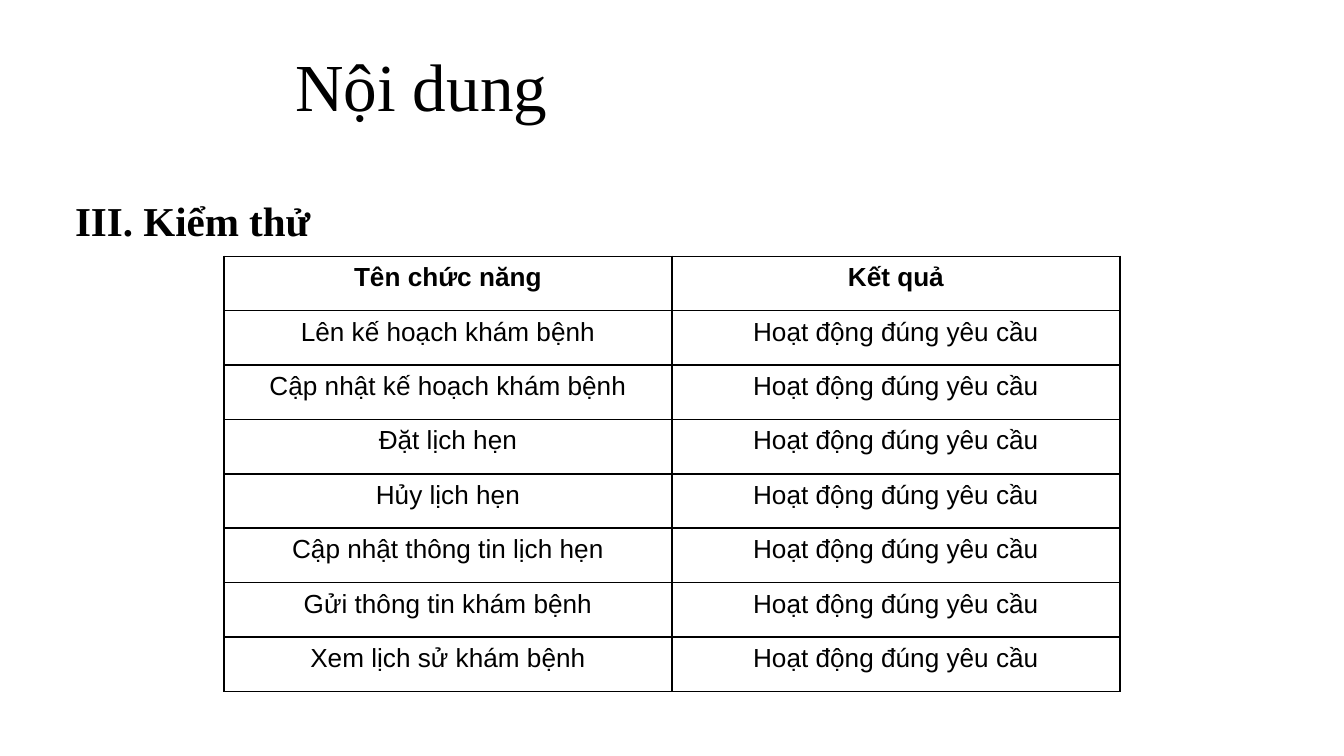
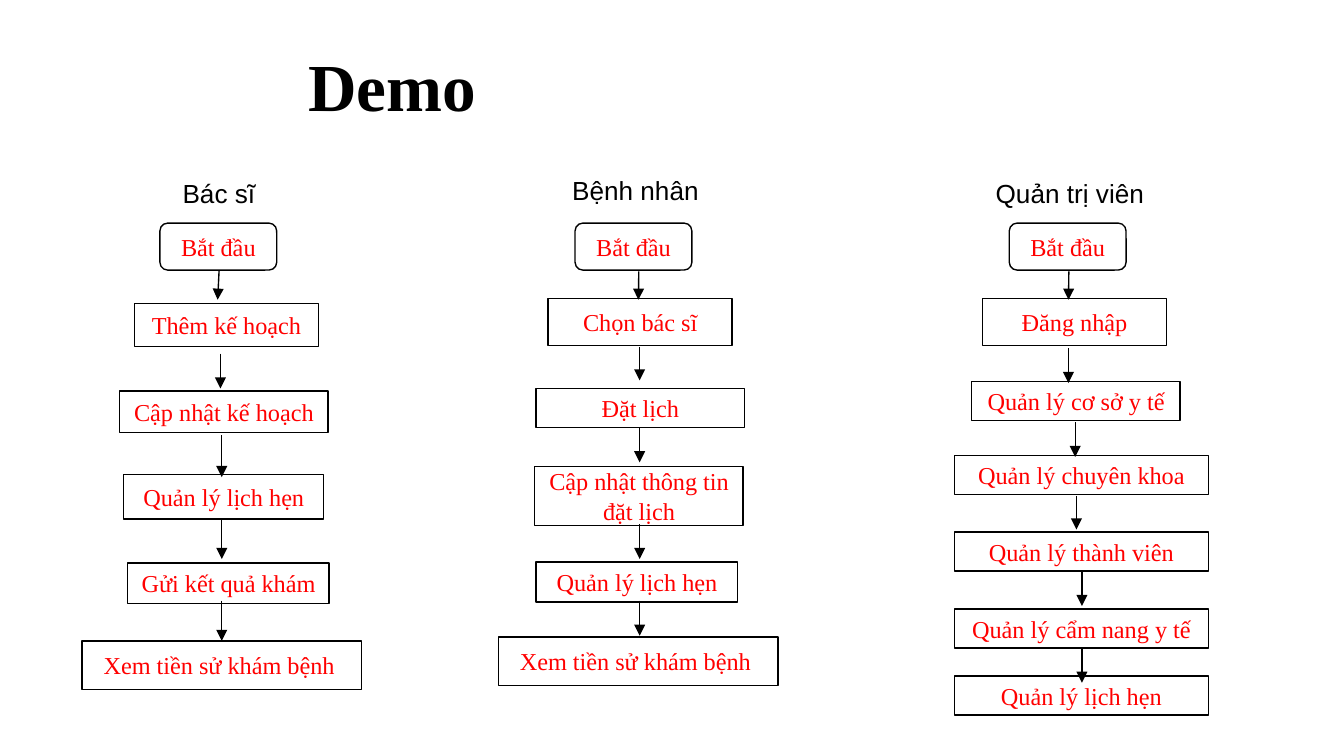
from collections import namedtuple

from lxml.etree import SubElement
from pptx import Presentation
from pptx.dml.color import RGBColor
from pptx.enum.shapes import MSO_CONNECTOR as Link, MSO_SHAPE as Preset
from pptx.enum.text import MSO_ANCHOR as Anchor, MSO_AUTO_SIZE as Fit, PP_ALIGN as Align
from pptx.oxml.ns import qn
from pptx.util import Pt

SERIF, SANS = "Times New Roman", "Arial"
BLACK, RED = "000000", "FF0000"
THIN = 0.75
START = "Bắt đầu"
START_TOP, START_WIDTH, START_HEIGHT = 29.5, 62.6, 25.2

Box = namedtuple("Box", "left top width height")
Step = namedtuple("Step", "text x y width height")
Arrow = namedtuple("Arrow", "x1 y1 x2 y2")
Flow = namedtuple("Flow", "box role role_box wraps start_x steps arrows")

FUNCTIONS = [
    "Lên kế hoạch khám bệnh",
    "Cập nhật kế hoạch khám bệnh",
    "Đặt lịch hẹn",
    "Hủy lịch hẹn",
    "Cập nhật thông tin lịch hẹn",
    "Gửi thông tin khám bệnh",
    "Xem lịch sử khám bệnh",
]
RESULTS = [("Tên chức năng", "Kết quả")] + [
    (function, "Hoạt động đúng yêu cầu") for function in FUNCTIONS
]

DOCTOR = Flow(
    Box(44, 90, 150, 280), "Bác sĩ", Box(46.7, 1.4, 54, 24.5), False, 41.7,
    [
        Step("Thêm kế hoạch", 28, 72.7, 98.6, 23),
        Step("Cập nhật kế hoạch", 20.1, 119.5, 111.6, 22.3),
        Step("Quản lý lịch hẹn", 22.2, 164.2, 107.3, 23.8),
        Step("Gửi kết quả khám", 24.4, 211.7, 108, 21.6),
        Step("Xem tiền sử khám bệnh ", 0, 253.4, 149.8, 25.9),
    ],
    [
        Arrow(73.4, 54.7, 72.6, 70.6),
        Arrow(74.1, 99.4, 74.1, 118.1),
        Arrow(74.8, 143.3, 74.8, 165.6),
        Arrow(74.8, 187.9, 74.8, 209.5),
        Arrow(74.8, 231.8, 74.8, 253.4),
    ],
)
PATIENT = Flow(
    Box(267, 90, 150, 278), "Bệnh nhân", Box(32.4, 0, 92.9, 24.5), True, 41.1,
    [
        Step("Chọn bác sĩ", 26.7, 69.8, 98.6, 25.2),
        Step("Đặt lịch", 20.2, 118.1, 111.6, 20.9),
        Step("Cập nhật thông tin đặt lịch", 19.5, 159.8, 111.6, 31.7),
        Step("Quản lý lịch hẹn", 20.2, 211, 108, 21.6),
        Step("Xem tiền sử khám bệnh ", 0, 251.3, 149.8, 25.9),
    ],
    [
        Arrow(75.2, 55.4, 75, 70.6),
        Arrow(75.7, 95.8, 75.7, 113.8),
        Arrow(75.7, 139, 75.7, 157.7),
        Arrow(75.7, 190.8, 75.7, 209.5),
        Arrow(75.7, 231.8, 75.7, 250.6),
    ],
)
ADMIN = Flow(
    Box(511.2, 90, 136, 293), "Quản trị viên", Box(15.1, 1.4, 105.8, 24.5), True, 29.5,
    [
        Step("Đăng nhập", 15.1, 69.8, 98.6, 25.2),
        Step("Quản lý cơ sở y tế", 9.4, 114.5, 111.6, 20.9),
        Step("Quản lý chuyên khoa", 0, 154.1, 136.1, 20.9),
        Step("Quản lý thành viên", 0, 195.1, 136.1, 20.9),
        Step("Quản lý cẩm nang y tế", 0, 236.2, 136.1, 20.9),
        Step("Quản lý lịch hẹn", 0, 272.2, 136.1, 20.9),
    ],
    [
        Arrow(61.4, 55.4, 61.2, 70.6),
        Arrow(61.2, 96.5, 61.2, 115.2),
        Arrow(64.8, 136.1, 64.8, 154.8),
        Arrow(65.5, 175.7, 65.5, 193.7),
        Arrow(68.4, 216, 68.4, 234.7),
        Arrow(68.4, 257, 68.4, 275.8),
    ],
)


def color(code):
    """Turn a hex string into a colour."""
    return RGBColor.from_string(code)


def points(*lengths):
    """Turn plain numbers into lengths in points."""
    return [Pt(length) for length in lengths]


def write(frame, text, size, font, ink=BLACK, bold=False, align=Align.LEFT):
    """Fill a text frame with one formatted paragraph."""
    frame.text = text
    paragraph = frame.paragraphs[0]
    paragraph.alignment = align
    for run in paragraph.runs:
        run.font.size = Pt(size)
        run.font.name = font
        run.font.bold = bold
        run.font.color.rgb = color(ink)


def add_heading(slide, box, text, size=36, bold=False, align=Align.CENTER):
    """Place a vertically centred serif heading in the box."""
    frame = slide.shapes.add_textbox(*points(*box)).text_frame
    frame.word_wrap = True
    frame.vertical_anchor = Anchor.MIDDLE
    frame.margin_left = Pt(10)
    write(frame, text, size, SERIF, bold=bold, align=align)


def add_borders(cell):
    """Draw a black line on each side of a table cell."""
    properties = cell._tc.get_or_add_tcPr()
    for side in ("lnL", "lnR", "lnT", "lnB"):
        edge = SubElement(properties, qn(f"a:{side}"), w=str(Pt(1)))
        fill = SubElement(edge, qn("a:solidFill"))
        SubElement(fill, qn("a:srgbClr"), val=BLACK)


def add_results(slide, box):
    """Fill the box with the table of test results."""
    table = slide.shapes.add_table(len(RESULTS), 2, *points(*box)).table
    table.first_row = table.horz_banding = False
    for row, texts in enumerate(RESULTS):
        table.rows[row].height = Pt(box.height / len(RESULTS))
        for column, text in enumerate(texts):
            cell = table.cell(row, column)
            add_borders(cell)
            cell.fill.background()
            write(cell.text_frame, text, 14, SANS, bold=row == 0, align=Align.CENTER)


def add_step(slide, box, step, outline=Preset.RECTANGLE):
    """Place one outlined step relative to the box."""
    shape = slide.shapes.add_shape(
        outline, *points(box.left + step.x, box.top + step.y, step.width, step.height)
    )
    shape.shadow.inherit = False
    shape.fill.background()
    shape.line.color.rgb = color(BLACK)
    shape.line.width = Pt(THIN)
    frame = shape.text_frame
    frame.word_wrap = True
    frame.vertical_anchor = Anchor.MIDDLE
    frame.margin_left = frame.margin_right = Pt(5)
    write(frame, step.text, 13, SERIF, RED, align=Align.CENTER)


def add_arrow(slide, box, arrow):
    """Draw one arrow relative to the box."""
    connector = slide.shapes.add_connector(
        Link.STRAIGHT,
        *points(box.left + arrow.x1, box.top + arrow.y1, box.left + arrow.x2, box.top + arrow.y2),
    )
    connector.line.color.rgb = color(BLACK)
    connector.line.width = Pt(THIN)
    properties = connector.element.spPr
    SubElement(properties.find(qn("a:ln")), qn("a:tailEnd"), type="triangle")
    SubElement(properties, qn("a:effectLst"))


def add_flow(slide, flow):
    """Build the flow of one role inside its box."""
    box, label = flow.box, flow.role_box
    frame = slide.shapes.add_textbox(
        *points(box.left + label.left, box.top + label.top, label.width, label.height)
    ).text_frame
    frame.word_wrap = flow.wraps
    frame.auto_size = Fit.SHAPE_TO_FIT_TEXT
    write(frame, flow.role, 14, SANS)
    start = Step(START, flow.start_x, START_TOP, START_WIDTH, START_HEIGHT)
    add_step(slide, box, start, Preset.ROUNDED_RECTANGLE)
    for step in flow.steps:
        add_step(slide, box, step)
    for arrow in flow.arrows:
        add_arrow(slide, box, arrow)


def build_testing(slide):
    """Build the slide with the test results."""
    add_heading(slide, Box(30.2, 97.9, 660, 40.3), "III. Kiểm thử", 22, True, Align.LEFT)
    add_heading(slide, Box(109.4, 15.1, 229.7, 60.5), "Nội dung")
    add_results(slide, Box(120, 137.3, 480, 233.3))


def build_demo(slide):
    """Build the slide with the flow of each role."""
    add_heading(slide, Box(109.4, 15.1, 198.7, 60.5), "Demo", bold=True)
    for flow in (DOCTOR, PATIENT, ADMIN):
        add_flow(slide, flow)


def main():
    """Build both slides and save the presentation."""
    deck = Presentation()
    deck.slide_width, deck.slide_height = points(720, 405)
    for build in (build_testing, build_demo):
        build(deck.slides.add_slide(deck.slide_layouts[6]))
    deck.save("out.pptx")


if __name__ == "__main__":
    main()
